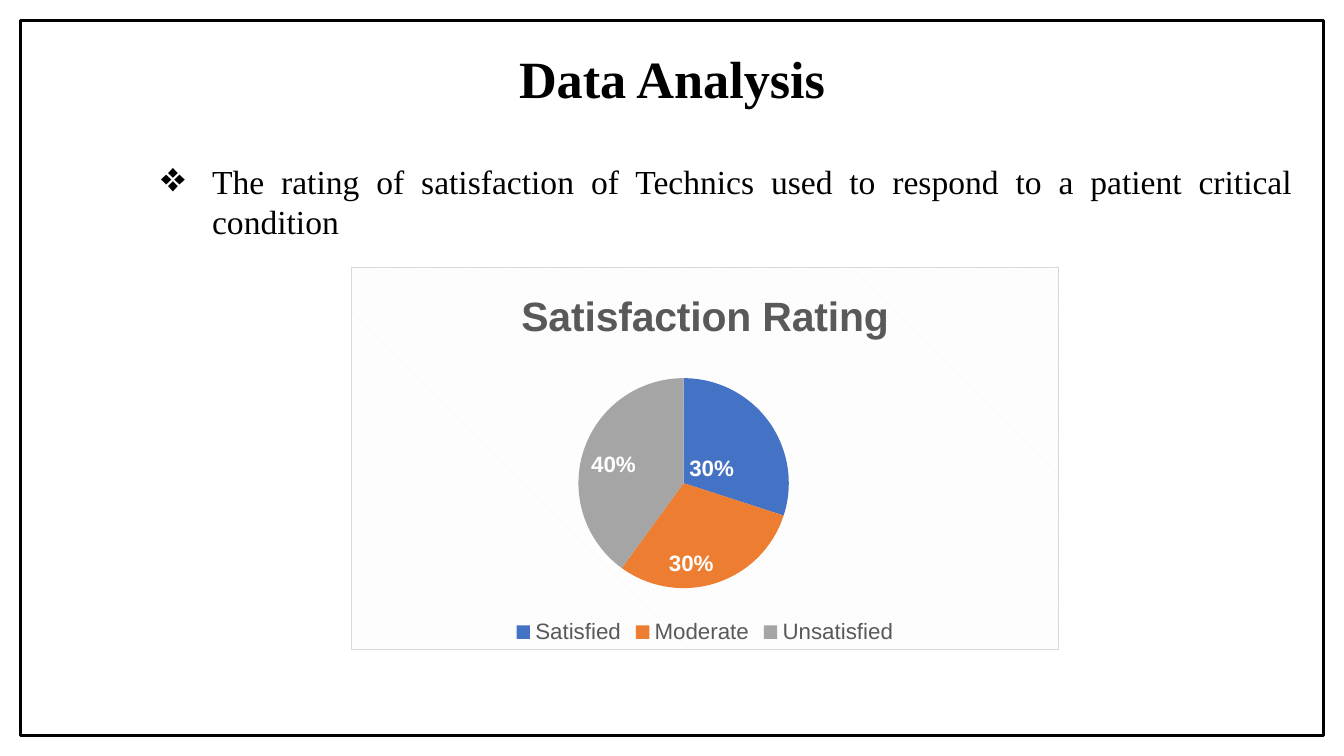
from lxml.etree import SubElement
from pptx import Presentation
from pptx.chart.data import CategoryChartData
from pptx.dml.color import RGBColor
from pptx.enum.chart import XL_CHART_TYPE, XL_LABEL_POSITION, XL_LEGEND_POSITION
from pptx.enum.shapes import MSO_SHAPE
from pptx.enum.text import MSO_ANCHOR, PP_ALIGN
from pptx.oxml import parse_xml
from pptx.oxml.ns import nsdecls, qn
from pptx.util import Inches, Pt

BLACK = RGBColor(0x00, 0x00, 0x00)
WHITE = RGBColor(0xFF, 0xFF, 0xFF)
GREY = RGBColor(0x59, 0x59, 0x59)
RATINGS = {
    "Satisfied": (30, RGBColor(0x44, 0x72, 0xC4)),
    "Moderate": (30, RGBColor(0xED, 0x7D, 0x31)),
    "Unsatisfied": (40, RGBColor(0xA5, 0xA5, 0xA5)),
}
SERIF = "Times New Roman"
SANS = "Arial"


def style(font, name, size, color, bold=False):
    font.name = name
    font.size = Pt(size)
    font.color.rgb = color
    font.bold = bold


def place(parent, index, **settings):
    layout = parent.find(qn("c:layout"))
    if layout is not None:
        parent.remove(layout)
    layout = parse_xml(f"<c:layout {nsdecls('c')}><c:manualLayout/></c:layout>")
    for tag, value in settings.items():
        SubElement(layout[0], qn(f"c:{tag}")).set("val", str(value))
    parent.insert(index, layout)


prs = Presentation()
prs.slide_width = Inches(10)
prs.slide_height = prs.slide_width * 9 // 16
W, H = prs.slide_width, prs.slide_height
slide = prs.slides.add_slide(prs.slide_layouts[5])

margin = Inches(0.15)
frame = slide.shapes.add_shape(
    MSO_SHAPE.RECTANGLE, margin, margin, W - 2 * margin, H - 2 * margin
)
frame.shadow.inherit = False
frame.fill.background()
frame.line.color.rgb = BLACK
frame.line.width = Pt(1.5)

heading = slide.shapes.title
heading.left, heading.top = int(W * 0.028), int(H * 0.053)
heading.width, heading.height = int(W * 0.944), int(H * 0.109)
heading.text_frame.vertical_anchor = MSO_ANCHOR.MIDDLE
heading_line = heading.text_frame.paragraphs[0]
heading_line.alignment = PP_ALIGN.CENTER
heading_line.line_spacing = 0.9
heading_run = heading_line.add_run()
heading_run.text = "Data Analysis"
style(heading_run.font, SERIF, 28, BLACK, True)

statement = slide.shapes.add_textbox(
    int(W * 0.048), int(H * 0.204), int(W * 0.924), int(H * 0.13)
)
statement.text_frame.word_wrap = True
statement_line = statement.text_frame.paragraphs[0]
statement_line.alignment = PP_ALIGN.JUSTIFY
bullet = statement_line._p.get_or_add_pPr()
bullet.set("marL", str(Inches(1)))
bullet.set("indent", str(-Inches(0.38)))
SubElement(SubElement(bullet, qn("a:buClr")), qn("a:srgbClr")).set("val", str(BLACK))
SubElement(bullet, qn("a:buSzPct")).set("val", "125000")
SubElement(bullet, qn("a:buChar")).set("char", "❖")
statement_run = statement_line.add_run()
statement_run.text = (
    "The rating of satisfaction of Technics used to respond to a patient critical condition"
)
style(statement_run.font, SERIF, 18, BLACK)

rating_data = CategoryChartData()
rating_data.categories = list(RATINGS)
rating_data.add_series("Series 1", [share for share, _ in RATINGS.values()])
rating_chart = slide.shapes.add_chart(
    XL_CHART_TYPE.PIE,
    int(W * 0.261), int(H * 0.353), int(W * 0.527), int(H * 0.507),
    rating_data,
).chart
style(rating_chart.font, SANS, 10, BLACK)
chart_space = rating_chart.element
chart_space.find(qn("c:chart")).addnext(parse_xml(
    f"<c:spPr {nsdecls('c', 'a')}>"
    '<a:pattFill prst="dkDnDiag"><a:fgClr><a:srgbClr val="F2F2F2"/></a:fgClr>'
    '<a:bgClr><a:srgbClr val="FFFFFF"/></a:bgClr></a:pattFill>'
    '<a:ln w="9525"><a:solidFill><a:srgbClr val="D9D9D9"/></a:solidFill></a:ln>'
    "</c:spPr>"
))

rating_chart.has_title = True
caption_run = rating_chart.chart_title.text_frame.paragraphs[0].add_run()
caption_run.text = "Satisfaction Rating"
style(caption_run.font, SANS, 22, GREY, True)
place(chart_space.find(".//" + qn("c:title")), 1,
      xMode="edge", yMode="edge", x=0.23, y=0.04)
place(chart_space.find(".//" + qn("c:plotArea")), 0,
      layoutTarget="inner", xMode="edge", yMode="edge", x=0.32, y=0.29, w=0.3, h=0.55)

rating_chart.has_legend = True
legend = rating_chart.legend
legend.position = XL_LEGEND_POSITION.BOTTOM
legend.include_in_layout = False
style(legend.font, SANS, 12, GREY)

pie = rating_chart.plots[0]
pie.vary_by_categories = True
slices = pie.series[0]
for index, (_, color) in enumerate(RATINGS.values()):
    fill = slices.points[index].format.fill
    fill.solid()
    fill.fore_color.rgb = color

labels = slices.data_labels
labels.show_percentage = True
labels.show_value = False
labels.show_leader_lines = False
satisfied_label = slices.points[0].data_label
for label in (labels, satisfied_label):
    label.position = XL_LABEL_POSITION.INSIDE_END
    style(label.font, SANS, 12, WHITE, True)
satisfied_xml = chart_space.find(".//" + qn("c:dLbl"))
satisfied_xml.find(qn("c:showVal")).set("val", "0")
satisfied_xml.find(qn("c:showPercent")).set("val", "1")
place(satisfied_xml, 1, x=-0.04, y=0.08)

prs.save("out.pptx")
